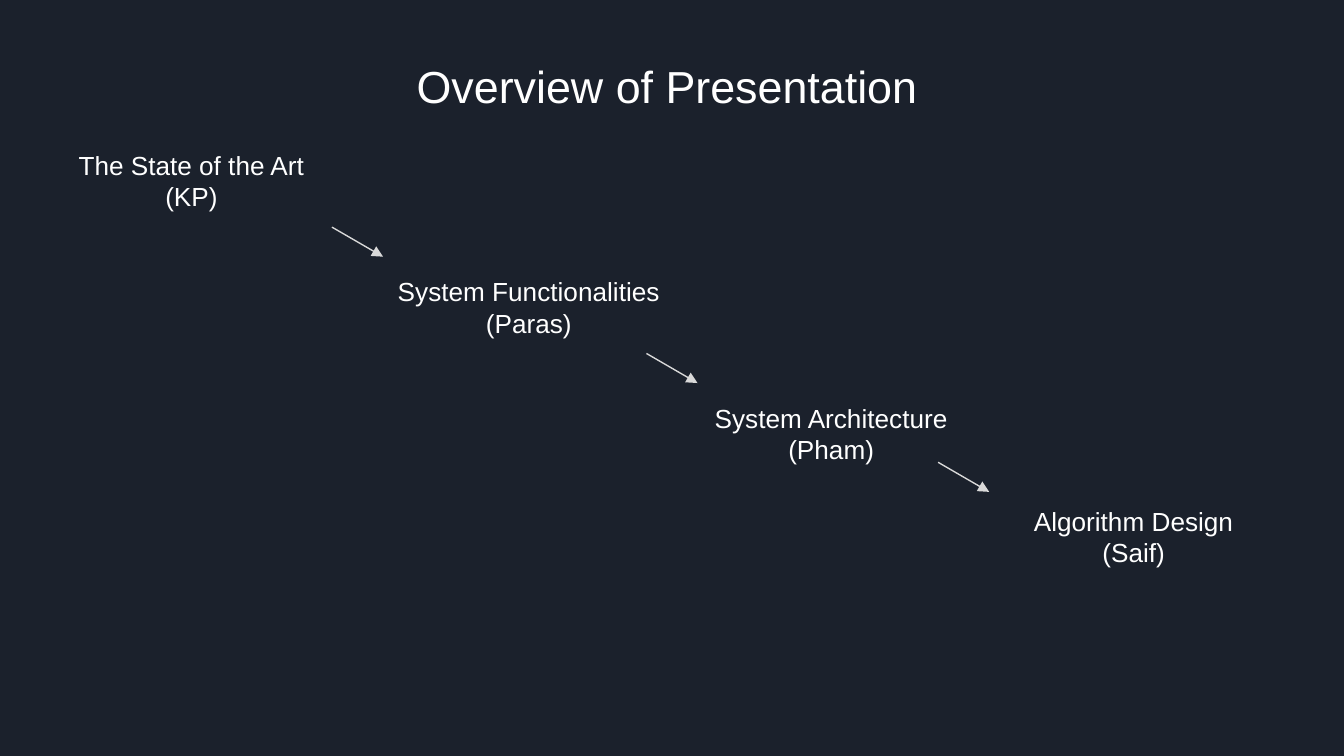
from lxml.etree import SubElement
from pptx import Presentation
from pptx.dml.color import RGBColor
from pptx.enum.shapes import MSO_CONNECTOR
from pptx.enum.text import MSO_ANCHOR, MSO_AUTO_SIZE, PP_ALIGN
from pptx.oxml.ns import qn
from pptx.util import Inches, Pt

COLORS = {"background": "1B212C", "text": "FFFFFF", "arrow": "D9D9D9"}
FONT = "Arial"
TOPIC_SIZE = (2.57, 0.68)
ARROW_STEP = (0.38, 0.22)

TOPICS = [
    ("The State of the Art", "KP", 0.14, 1.01),
    ("System Functionalities", "Paras", 2.65, 1.95),
    ("System Architecture", "Pham", 4.9, 2.89),
    ("Algorithm Design", "Saif", 7.15, 3.66),
]
ARROW_STARTS = [(2.47, 1.69), (4.81, 2.63), (6.98, 3.44)]


def color(name):
    return RGBColor.from_string(COLORS[name])


def write_text(shape, text, size, alignment):
    frame = shape.text_frame
    frame.text = text
    frame.word_wrap = True
    frame.auto_size = MSO_AUTO_SIZE.NONE
    frame.vertical_anchor = MSO_ANCHOR.TOP
    frame.margin_left = frame.margin_right = Inches(0.1)
    frame.margin_top = frame.margin_bottom = Inches(0.1)
    for paragraph in frame.paragraphs:
        paragraph.alignment = alignment
        for run in paragraph.runs:
            run.font.name = FONT
            run.font.size = Pt(size)
            run.font.color.rgb = color("text")


def add_title(slide, text):
    title = slide.shapes.title
    title.left, title.top = Inches(3), Inches(0.34)
    title.width, title.height = Inches(5.69), Inches(0.66)
    write_text(title, text, 24, PP_ALIGN.LEFT)


def add_topic(slide, topic, speaker, left, top):
    width, height = TOPIC_SIZE
    label = slide.shapes.add_textbox(
        Inches(left), Inches(top), Inches(width), Inches(height)
    )
    write_text(label, f"{topic}\n({speaker})", 14, PP_ALIGN.CENTER)


def add_arrow(slide, x, y):
    dx, dy = ARROW_STEP
    arrow = slide.shapes.add_connector(
        MSO_CONNECTOR.STRAIGHT,
        Inches(x), Inches(y), Inches(x + dx), Inches(y + dy),
    )
    arrow.line.color.rgb = color("arrow")
    arrow.line.width = Pt(0.75)
    SubElement(arrow.line._get_or_add_ln(), qn("a:tailEnd"), type="triangle")
    SubElement(arrow._element.spPr, qn("a:effectLst"))


def main():
    presentation = Presentation()
    presentation.slide_width = Inches(10)
    presentation.slide_height = Inches(10) * 9 // 16
    slide = presentation.slides.add_slide(presentation.slide_layouts[5])
    slide.background.fill.solid()
    slide.background.fill.fore_color.rgb = color("background")

    add_title(slide, "Overview of Presentation")
    for topic in TOPICS:
        add_topic(slide, *topic)
    for start in ARROW_STARTS:
        add_arrow(slide, *start)

    presentation.save("out.pptx")


if __name__ == "__main__":
    main()
